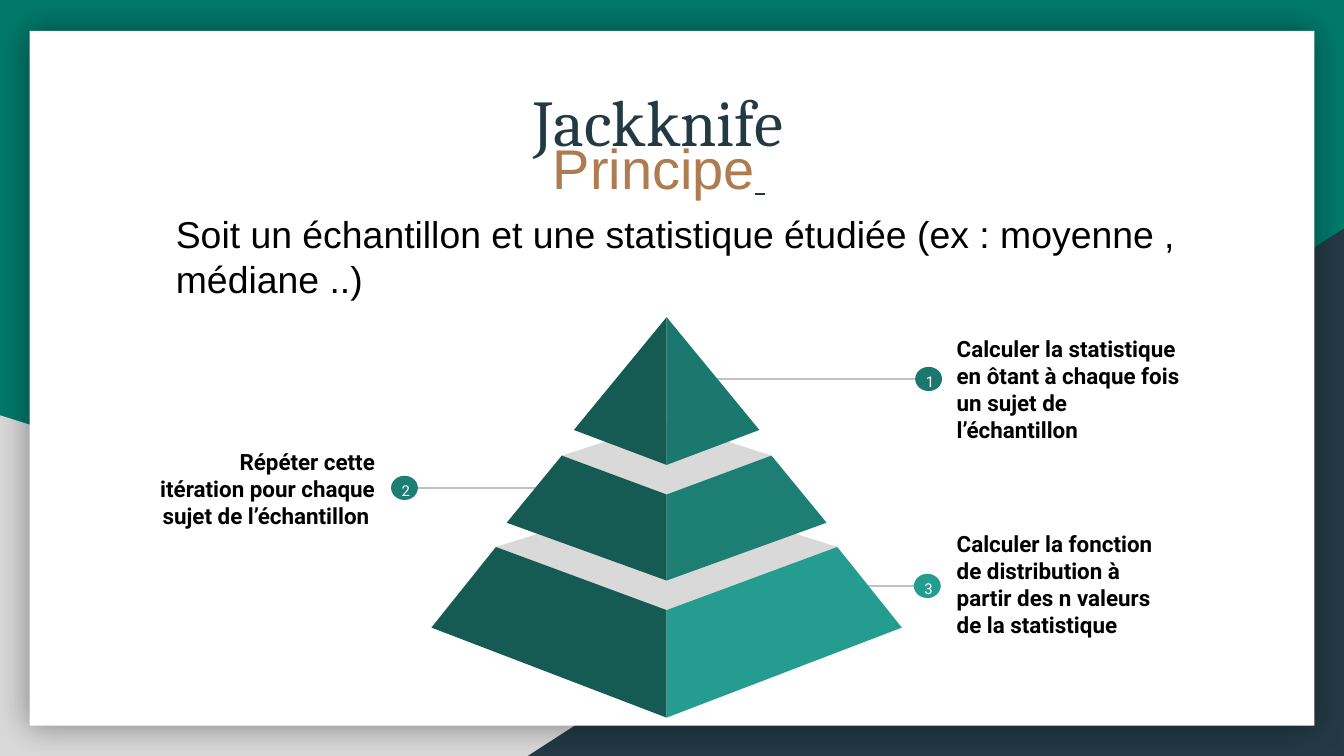
"""Build the Jackknife principle slide with its three-tier pyramid."""
from dataclasses import dataclass

from lxml import etree
from pptx import Presentation
from pptx import util as u
from pptx.dml.color import RGBColor
from pptx.enum import shapes, text
from pptx.oxml import ns


@dataclass(frozen=True)
class Theme:
    """Colours, fonts and type sizes of the slide."""
    green: str = "00796B"
    navy: str = "233A44"
    grey: str = "D9D9D9"
    rule: str = "C2C2C2"
    white: str = "FFFFFF"
    black: str = "000000"
    bronze: str = "AF7B51"
    shade: str = "155B54"
    tiers: tuple = ("1B786E", "1D7E74", "249C90")
    title_font: str = "Cambria"
    body_font: str = "Arial"
    label_font: str = "Roboto"
    title: int = 35
    subtitle: int = 30
    body: int = 20
    label: int = 12
    number: int = 8


class SlideBuilder:
    """Holds the theme, the current slide and the current shape container."""

    def __init__(self, slide, theme):
        """Start on the slide and paint its background."""
        self.slide, self.theme, self.canvas = slide, theme, slide.shapes
        fill = slide.background.fill
        fill.solid()
        fill.fore_color.rgb = RGBColor.from_string(theme.green)

    def group(self):
        """Send the next elements to a new group."""
        self.canvas = self.slide.shapes.add_group_shape().shapes

    def ungroup(self):
        """Send the next elements to the slide itself."""
        self.canvas = self.slide.shapes

    def paint(self, sp, color):
        """Give a shape a plain fill with no line or shadow."""
        sp.shadow.inherit = False
        sp.fill.solid()
        sp.fill.fore_color.rgb = RGBColor.from_string(color)
        sp.line.fill.background()
        return sp

    def shape(self, kind, box, color):
        """Add a filled preset shape."""
        return self.paint(self.canvas.add_shape(kind, *map(u.Inches, box)), color)

    def polygon(self, points, color):
        """Add a filled closed outline."""
        start, *rest = [tuple(map(u.Inches, pt)) for pt in points]
        builder = self.canvas.build_freeform(*start, scale=1.0)
        builder.add_line_segments(rest, close=True)
        return self.paint(builder.convert_to_shape(), color)

    def line(self, x1, x2, y):
        """Add a thin horizontal rule."""
        cxn = self.canvas.add_connector(
            shapes.MSO_CONNECTOR.STRAIGHT, *map(u.Inches, (x1, y, x2, y)))
        cxn.line.color.rgb = RGBColor.from_string(self.theme.rule)
        cxn.line.width = u.Pt(0.75)
        etree.SubElement(cxn.element.spPr, ns.qn("a:effectLst"))

    def glow(self, sp):
        """Surround a shape with a soft centred shadow."""
        effects = sp.element.spPr.find(ns.qn("a:effectLst"))
        shadow = etree.SubElement(effects, ns.qn("a:outerShdw"),
                                  blurRad=str(u.Pt(18)), dist="0", algn="ctr")
        color = etree.SubElement(shadow, ns.qn("a:srgbClr"), val=self.theme.black)
        etree.SubElement(color, ns.qn("a:alpha"), val="40000")

    def style(self, font, name, size, color, bold=False):
        """Format the font of a paragraph or run."""
        font.name, font.size, font.bold = name, u.Pt(size), bold
        font.color.rgb = RGBColor.from_string(color)

    def frame(self, sp, words, align, pad=0.05, anchor=text.MSO_ANCHOR.MIDDLE):
        """Fill a text frame and return its paragraph."""
        tf = sp.text_frame
        tf.word_wrap = True
        tf.auto_size = text.MSO_AUTO_SIZE.NONE
        tf.vertical_anchor = anchor
        tf.margin_left = tf.margin_right = u.Inches(0.1)
        tf.margin_top = tf.margin_bottom = u.Inches(pad)
        p = tf.paragraphs[0]
        p.text, p.alignment = words, align
        return p

    def text(self, box, words, align=text.PP_ALIGN.LEFT, **layout):
        """Add a wrapped text box and return its paragraph."""
        sp = self.canvas.add_textbox(*map(u.Inches, box))
        return self.frame(sp, words, align, **layout)

    def title(self, box, words):
        """Place and format the title placeholder."""
        sp = self.slide.shapes.title
        sp.left, sp.top, sp.width, sp.height = map(u.Inches, box)
        p = self.frame(sp, words, text.PP_ALIGN.CENTER)
        p.line_spacing, p.space_after = 1.3, u.Pt(6)
        t = self.theme
        self.style(p.font, t.title_font, t.title, t.navy)

    def backdrop(self):
        """Lay the two corner triangles and the card behind the title."""
        t, kind = self.theme, shapes.MSO_SHAPE
        left = self.shape(kind.RIGHT_TRIANGLE, (0, 3.09, 8.06, 2.54), t.grey)
        right = self.shape(kind.RIGHT_TRIANGLE, (3.92, 1.7, 6.08, 3.93), t.navy)
        right.element.spPr.find(ns.qn("a:xfrm")).set("flipH", "1")
        card = self.shape(kind.RECTANGLE, (0.22, 0.23, 9.56, 5.17), t.white)
        self.glow(card)
        for sp in (left, right, card):
            self.slide.shapes.title.element.addprevious(sp.element)

    def callout(self, number, words, y, text_box, dot_x, line_xs, align):
        """Add a numbered dot with its rule and explanation."""
        t = self.theme
        self.group()
        self.line(*line_xs, y)
        p = self.text((*text_box, 1.86, 1.27), words, align, pad=0.1)
        self.style(p.font, t.label_font, t.label, t.black, bold=True)
        self.shape(shapes.MSO_SHAPE.OVAL, (dot_x, y - 0.09, 0.2, 0.18),
                   t.tiers[number - 1])
        p = self.text((dot_x - 0.02, y - 0.15, 0.25, 0.29), str(number),
                      text.PP_ALIGN.CENTER, pad=0.1, anchor=text.MSO_ANCHOR.TOP)
        p.space_after = u.Pt(16)
        self.style(p.font, t.label_font, t.number, t.white)

    def tier(self, center, half, lid_back, color):
        """Add a pyramid tier from its half outline, mirrored about the centre."""
        left = [(center - dx, y) for dx, y in half]
        right = [(center + dx, y) for dx, y in half]
        if lid_back:
            lid = [left[0], left[-1], right[0], (center, lid_back)]
            self.polygon(lid, self.theme.grey)
        self.polygon(left, self.theme.shade)
        self.polygon(right, color)


def main():
    """Compose the slide and save it."""
    prs = Presentation()
    prs.slide_width = u.Inches(10)
    prs.slide_height = prs.slide_width * 9 // 16
    t = Theme()
    s = SlideBuilder(prs.slides.add_slide(prs.slide_layouts[5]), t)
    s.backdrop()
    s.title((3.32, 0.5, 3.16, 0.61), "Jackknife")

    p = s.text((0.96, 0.94, 7.39, 0.61), "", text.PP_ALIGN.CENTER)
    p._p.get_or_add_pPr().set("marL", str(u.Inches(0.5)))
    r = p.add_run()
    r.text = "Principe"
    s.style(r.font, t.body_font, t.subtitle, t.bronze)
    r = p.add_run()
    r.text = " "
    s.style(r.font, t.body_font, t.body, t.navy)
    r.font.underline = True

    left, right = text.PP_ALIGN.LEFT, text.PP_ALIGN.RIGHT
    for callout in (
        (3, "Calculer la fonction de distribution à partir des n valeurs "
            "de la statistique", 4.36, (7.02, 3.71), 6.8, (6.42, 7), left),
        (2, "Répéter cette itération pour chaque sujet de l’échantillon ",
         3.63, (1.03, 3), 2.91, (4.02, 2.98), right),
        (1, "Calculer la statistique en ôtant à chaque fois un sujet "
            "de l’échantillon", 2.82, (7.02, 2.26), 6.81, (5.29, 7), left),
    ):
        s.callout(*callout)

    s.group()
    halves = (
        ([(0, 2.36), (0.69, 3.2), (0, 3.46)], None),
        ([(0.78, 3.39), (1.19, 3.89), (0, 4.32), (0, 3.68)], 3.14),
        ([(1.27, 4.07), (1.75, 4.67), (0, 5.34), (0, 4.54)], 3.67),
    )
    for (half, lid_back), color in reversed(list(zip(halves, t.tiers))):
        s.tier(4.96, half, lid_back, color)

    s.ungroup()
    p = s.text((1.21, 1.6, 8.38, 0.61), "Soit un échantillon et une statistique "
               "étudiée (ex : moyenne , médiane ..)")
    s.style(p.font, t.body_font, t.body, t.black)
    prs.save("out.pptx")


if __name__ == "__main__":
    main()
